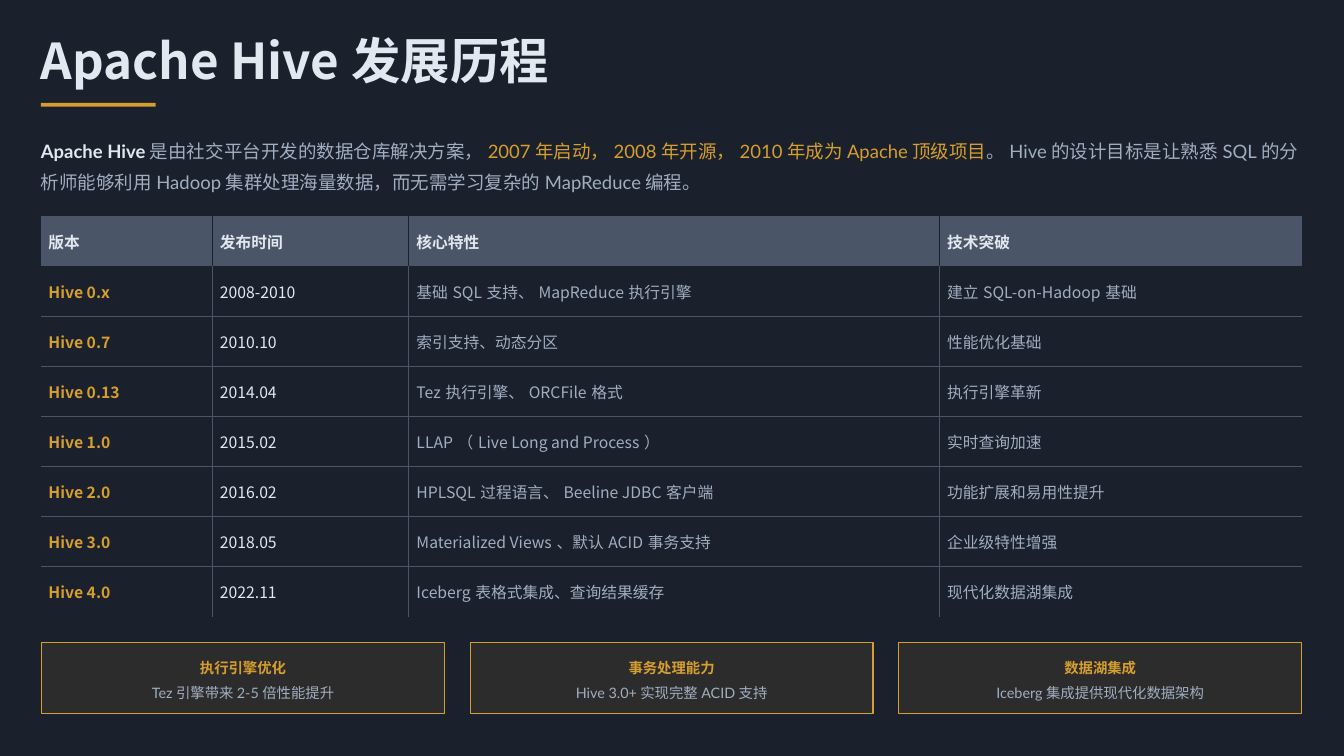
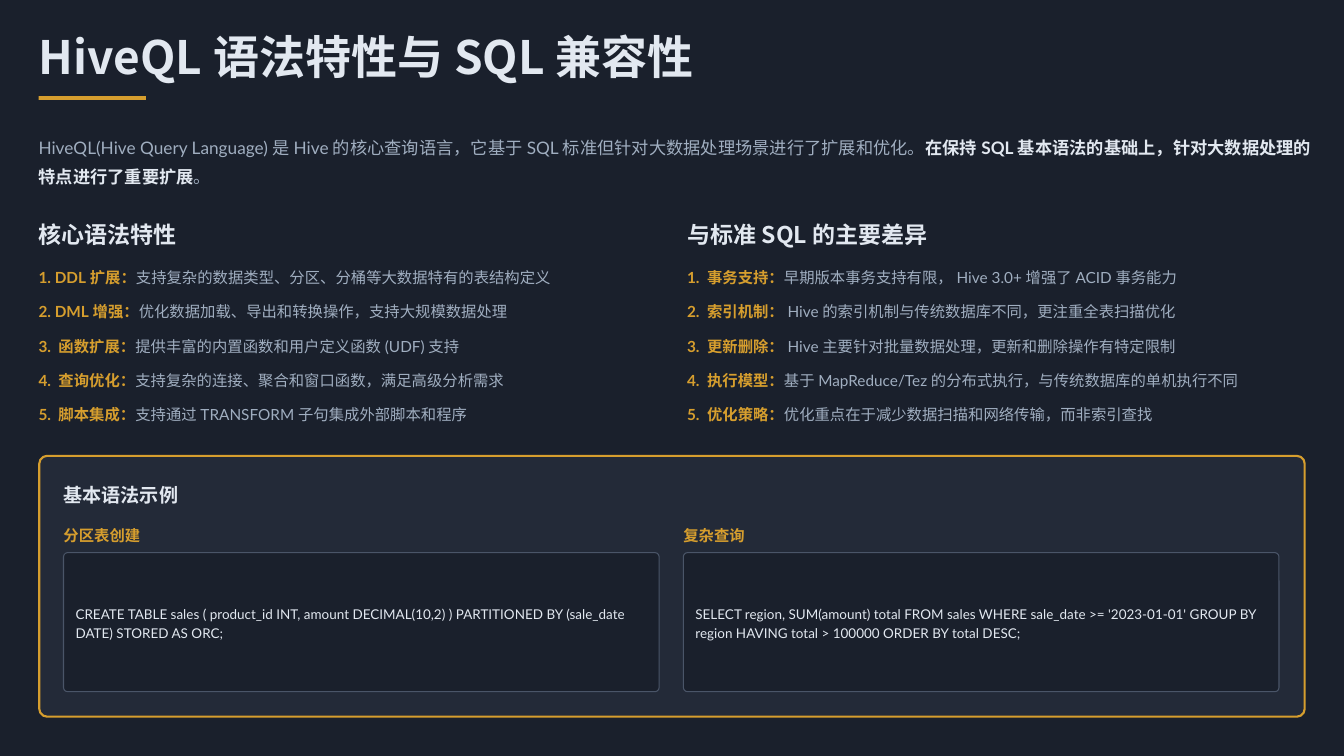
from lxml.etree import SubElement
from pptx import Presentation
from pptx.dml.color import RGBColor
from pptx.enum.shapes import MSO_SHAPE
from pptx.enum.text import MSO_ANCHOR, PP_ALIGN
from pptx.oxml.ns import qn
from pptx.util import Pt

PX = 9144
INK = {"night": "1A202C", "pale": "E2E8F0", "gray": "A0AEC0", "gold": "D69E2E", "slate": "4A5568"}
NOTO = "Noto Sans CJK SC"
LATO = "Lato"


def write(host, *runs, at=None, size=15, face=LATO, space=None, align=None):
    if at:
        host = host.shapes.add_textbox(*[n * PX for n in at])
    frame = host.text_frame
    if at:
        frame.word_wrap = True
        frame.vertical_anchor = MSO_ANCHOR.MIDDLE
        frame.margin_left = frame.margin_right = frame.margin_top = frame.margin_bottom = 0
    para = frame.paragraphs[0]
    para.line_spacing = space
    para.alignment = align
    for words, ink, bold in runs:
        run = para.add_run()
        run.text = words
        font = run.font
        font.size = Pt(size)
        font.bold = bold
        font.color.rgb = RGBColor.from_string(INK[ink])
        font.name = face
        SubElement(run._r.get_or_add_rPr(), qn("a:ea"), typeface=NOTO)


def draw(page, at, fill, line=None, width=1, alpha=None, curve=0):
    kind = MSO_SHAPE.ROUNDED_RECTANGLE if curve else MSO_SHAPE.RECTANGLE
    shape = page.shapes.add_shape(kind, *[n * PX for n in at])
    shape.shadow.inherit = False
    if curve:
        shape.adjustments[0] = curve
    shape.fill.solid()
    shape.fill.fore_color.rgb = RGBColor.from_string(INK[fill])
    if alpha:
        tone = shape._element.spPr.find(qn("a:solidFill"))[0]
        SubElement(tone, qn("a:alpha"), val=str(alpha * 1000))
    if line:
        shape.line.color.rgb = RGBColor.from_string(INK[line])
        shape.line.width = Pt(width)
    else:
        shape.line.fill.background()


deck = Presentation()
deck.slide_width = 1778 * PX
deck.slide_height = 1000 * PX

heads = [
    ("Apache Hive发展历程", (54, 54, 1702, 65), 47, (54, 136, 152, 5), (54, 174, 1681, 80), 17.6, [
        ("Apache Hive", "pale", True),
        ("是由社交平台开发的数据仓库解决方案，", "gray", False),
        ("2007年启动，2008年开源，2010年成为Apache顶级项目", "gold", False),
        ("。Hive的设计目标是让熟悉SQL的分析师能够利用Hadoop集群处理海量数据，"
         "而无需学习复杂的MapReduce编程。", "gray", False),
    ]),
    ("HiveQL语法特性与SQL兼容性", (51, 51, 1707, 61), 43.8, (51, 127, 142, 5), (51, 172, 1688, 75), 16.4, [
        ("HiveQL(Hive Query Language)是Hive的核心查询语言，"
         "它基于SQL标准但针对大数据处理场景进行了扩展和优化。", "gray", False),
        ("在保持SQL基本语法的基础上，针对大数据处理的特点进行了重要扩展", "pale", True),
        ("。", "gray", False),
    ]),
]
pages = []
for title, spot, size, bar, place, small, intro in heads:
    page = deck.slides.add_slide(deck.slide_layouts[6])
    page.background.fill.solid()
    page.background.fill.fore_color.rgb = RGBColor.from_string(INK["night"])
    write(page, (title, "pale", True), at=spot, size=size, face=NOTO, space=0.8)
    draw(page, bar, "gold")
    write(page, *intro, at=place, size=small, space=1.4)
    pages.append(page)
past, code = pages

rows = [
    ("版本", "发布时间", "核心特性", "技术突破"),
    ("Hive 0.x", "2008-2010", "基础SQL支持、MapReduce执行引擎", "建立SQL-on-Hadoop基础"),
    ("Hive 0.7", "2010.10", "索引支持、动态分区", "性能优化基础"),
    ("Hive 0.13", "2014.04", "Tez执行引擎、ORCFile格式", "执行引擎革新"),
    ("Hive 1.0", "2015.02", "LLAP（Live Long and Process）", "实时查询加速"),
    ("Hive 2.0", "2016.02", "HPLSQL过程语言、Beeline JDBC客户端", "功能扩展和易用性提升"),
    ("Hive 3.0", "2018.05", "Materialized Views、默认ACID事务支持", "企业级特性增强"),
    ("Hive 4.0", "2022.11", "Iceberg表格式集成、查询结果缓存", "现代化数据湖集成"),
]
last = len(rows) - 1
grid = past.shapes.add_table(len(rows), 4, 54 * PX, 286 * PX, 1669 * PX, 530 * PX).table
grid.first_row = grid.horz_banding = False
grid._tbl.tblPr.find(qn("a:tableStyleId")).text = "{2D5ABB26-0587-4C30-8999-92F81FD0307C}"
for col, wide in zip(grid.columns, (227, 260, 702, 480)):
    col.width = wide * PX
for r, row in enumerate(rows):
    grid.rows[r].height = 530 * PX // len(rows)
    for c, words in enumerate(row):
        cell = grid.cell(r, c)
        cell.vertical_anchor = MSO_ANCHOR.MIDDLE
        ink = ("gold", "pale", "gray", "gray")[c] if r else "pale"
        write(cell, (words, ink, r == 0 or c == 0), face=NOTO)
        side = "slate" if r else "night"
        edges = (("L", c > 0, side), ("R", c < 3, side), ("T", r > 1, "slate"), ("B", 0 < r < last, "slate"))
        for edge, shown, tint in edges:
            if shown:
                line = SubElement(cell._tc.get_or_add_tcPr(), qn("a:ln" + edge), w="12700")
                SubElement(SubElement(line, qn("a:solidFill")), qn("a:srgbClr"), val=INK[tint])
        if r:
            cell.fill.background()
        else:
            cell.fill.solid()
            cell.fill.fore_color.rgb = RGBColor.from_string(INK["slate"])

cards = [
    ("执行引擎优化", "Tez引擎带来2-5倍性能提升"),
    ("事务处理能力", "Hive 3.0+实现完整ACID支持"),
    ("数据湖集成", "Iceberg集成提供现代化数据架构"),
]
for i, (name, note) in enumerate(cards):
    x = 55 + 567 * i
    draw(past, (x, 850, 533, 94), "gold", line="gold", alpha=10)
    for y, words, ink, bold in ((867, name, "gold", True), (900, note, "gray", False)):
        write(past, (words, ink, bold), at=(x - 4, y, 541, 27), size=13.7, space=1.2, align=PP_ALIGN.CENTER)

lists = [
    (51, "核心语法特性", [
        ("DDL扩展", "支持复杂的数据类型、分区、分桶等大数据特有的表结构定义"),
        ("DML增强", "优化数据加载、导出和转换操作，支持大规模数据处理"),
        ("函数扩展", "提供丰富的内置函数和用户定义函数(UDF)支持"),
        ("查询优化", "支持复杂的连接、聚合和窗口函数，满足高级分析需求"),
        ("脚本集成", "支持通过TRANSFORM子句集成外部脚本和程序"),
    ]),
    (909, "与标准SQL的主要差异", [
        ("事务支持", "早期版本事务支持有限，Hive 3.0+增强了ACID事务能力"),
        ("索引机制", "Hive的索引机制与传统数据库不同，更注重全表扫描优化"),
        ("更新删除", "Hive主要针对批量数据处理，更新和删除操作有特定限制"),
        ("执行模型", "基于MapReduce/Tez的分布式执行，与传统数据库的单机执行不同"),
        ("优化策略", "优化重点在于减少数据扫描和网络传输，而非索引查找"),
    ]),
]
for x, head, items in lists:
    write(code, (head, "pale", True), at=(x, 287, 833, 41), size=21.9, face=NOTO, space=1.1)
    for i, (name, note) in enumerate(items):
        write(code, (f"{i + 1}. {name}：", "gold", True), (note, "gray", False),
              at=(x, 348 + 911 * i // 20, 827, 30), size=14.6, space=1.3)

draw(code, (52, 603, 1674, 345), "slate", line="gold", width=2, alpha=20, curve=0.03)
write(code, ("基本语法示例", "pale", True), at=(84, 634, 1623, 35), size=18.2, face=NOTO, space=1.2)
demos = [
    ("分区表创建", "CREATE TABLE sales ( product_id INT, amount DECIMAL(10,2) ) "
     "PARTITIONED BY (sale_date DATE) STORED AS ORC;"),
    ("复杂查询", "SELECT region, SUM(amount) total FROM sales WHERE sale_date >= '2023-01-01' "
     "GROUP BY region HAVING total > 100000 ORDER BY total DESC;"),
]
for i, (name, query) in enumerate(demos):
    x = 84 + 820 * i
    write(code, (name, "gold", True), at=(x, 690, 800, 30), size=14.6, space=1.3)
    draw(code, (x, 731, 788, 184), "night", line="slate", curve=0.03)
    write(code, (query, "pale", False), at=(x + 16, 749, 756, 148), size=12.8, space=1.2)

deck.save("out.pptx")
